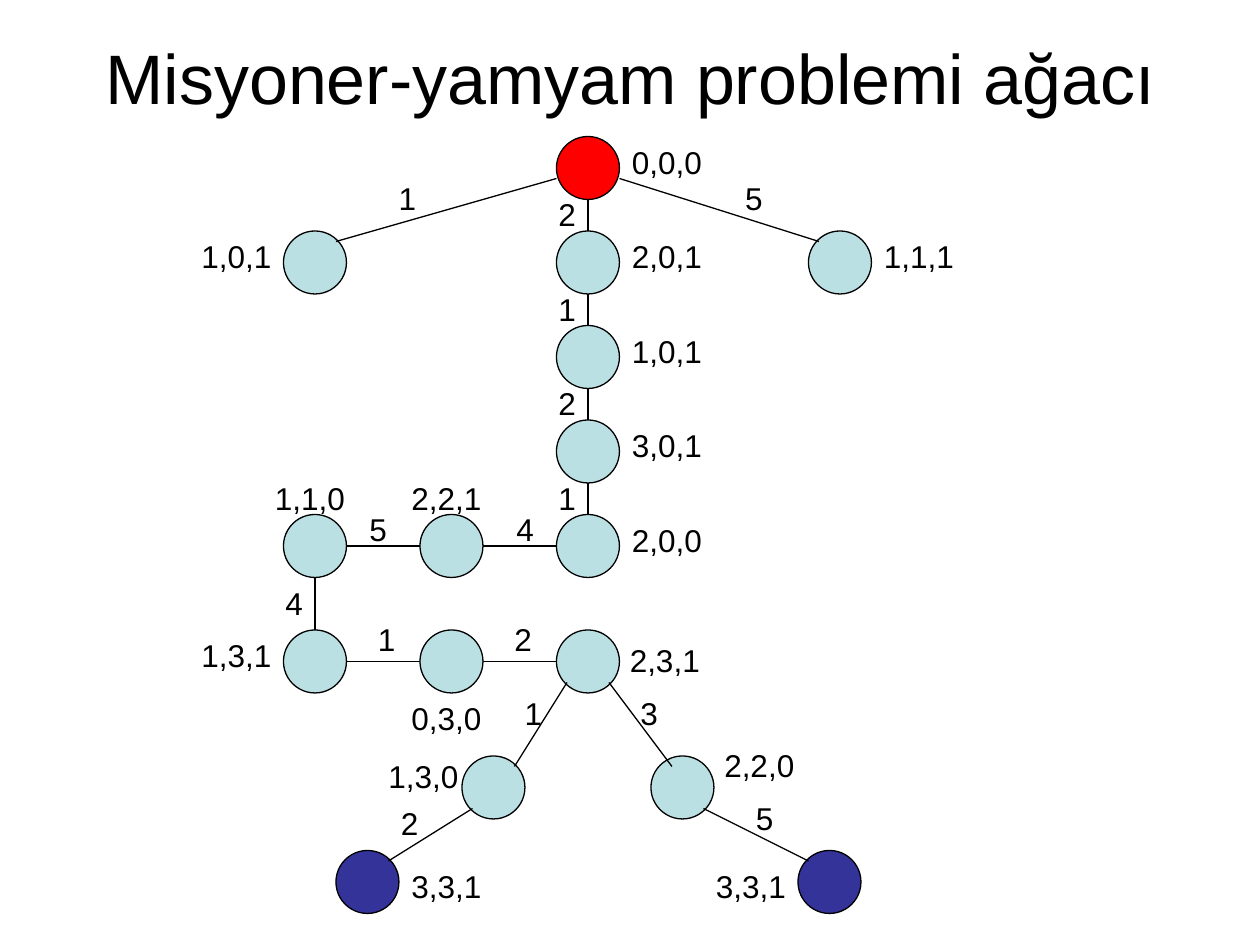
from pptx import Presentation
from pptx.dml.color import RGBColor
from pptx.enum.shapes import MSO_CONNECTOR, MSO_SHAPE
from pptx.enum.text import MSO_ANCHOR, MSO_AUTO_SIZE, PP_ALIGN
from pptx.oxml import parse_xml
from pptx.oxml.ns import nsdecls
from pptx.util import Emu, Pt

LINE, OVAL = MSO_CONNECTOR.STRAIGHT, MSO_SHAPE.OVAL
CENTER, MIDDLE = PP_ALIGN.CENTER, MSO_ANCHOR.MIDDLE
FIT, FIXED = MSO_AUTO_SIZE.SHAPE_TO_FIT_TEXT, MSO_AUTO_SIZE.NONE

PX = 7620  # 120 px to the inch
NODE = 60
STATE_SIZE, MOVE_SIZE = (91, 48), (41, 48)
COLORS = {"start": "FF0000", "state": "BBE0E3", "goal": "333399", "ink": "000000"}
TITLE = "Misyoner-yamyam problemi ağacı"

# Node: left, top, kind, state text, offset of the text box from the node
RIGHT, LEFT, ABOVE, BELOW = (60, 0), (-90, 0), (-20, -40), (-20, 60)
NODES = {
    "root": (530, 130, "start", "0,0,0", RIGHT),
    "west": (270, 220, "state", "1,0,1", LEFT),
    "mid": (530, 220, "state", "2,0,1", RIGHT),
    "east": (770, 220, "state", "1,1,1", RIGHT),
    "mid2": (530, 310, "state", "1,0,1", RIGHT),
    "mid3": (530, 400, "state", "3,0,1", RIGHT),
    "mid4": (530, 490, "state", "2,0,0", RIGHT),
    "back1": (400, 490, "state", "2,2,1", ABOVE),
    "back2": (270, 490, "state", "1,1,0", ABOVE),
    "turn": (270, 600, "state", "1,3,1", LEFT),
    "fwd1": (400, 600, "state", "0,3,0", BELOW),
    "fwd2": (530, 600, "state", "2,3,1", (58, 5)),
    "fork_l": (440, 720, "state", "1,3,0", (-82, -5)),
    "fork_r": (620, 720, "state", "2,2,0", (58, -15)),
    "goal_l": (320, 810, "goal", "3,3,1", (60, 10)),
    "goal_r": (760, 810, "goal", "3,3,1", (-90, 10)),
}

# Points of a node where an edge may end, from its top left corner
PORTS = {
    "top": (30, 0), "bottom": (30, 60), "left": (0, 30), "right": (60, 30),
    "nw": (10, 10), "ne": (50, 10), "sw": (10, 50), "se": (50, 50),
    "low_left": (0, 40), "low_right": (60, 40), "inner_top": (20, 10),
}

# Edge: from node, port, to node, port, move number, place of the number
EDGES = [
    ("root", "low_left", "west", "ne", "1", (368, 165)),
    ("root", "bottom", "mid", "top", "2", (520, 180)),
    ("root", "low_right", "east", "nw", "5", (698, 165)),
    ("mid", "bottom", "mid2", "top", "1", (520, 270)),
    ("mid2", "bottom", "mid3", "top", "2", (520, 360)),
    ("mid3", "bottom", "mid4", "top", "1", (520, 450)),
    ("mid4", "left", "back1", "right", "4", (480, 480)),
    ("back1", "left", "back2", "right", "5", (340, 480)),
    ("back2", "bottom", "turn", "top", "4", (260, 550)),
    ("turn", "right", "fwd1", "left", "1", (348, 585)),
    ("fwd1", "right", "fwd2", "left", "2", (478, 585)),
    ("fwd2", "sw", "fork_l", "ne", "1", (488, 655)),
    ("fwd2", "se", "fork_r", "inner_top", "3", (598, 655)),
    ("fork_l", "sw", "goal_l", "ne", "2", (370, 760)),
    ("fork_r", "se", "goal_r", "nw", "5", (708, 755)),
]


def px(*values):
    return [Emu(v * PX) for v in values]


def rgb(name):
    return RGBColor.from_string(COLORS[name])


def add_text(s, text, box, size=18, wrap=False, fit=FIT, anchor=None, align=None):
    tf = s.shapes.add_textbox(*px(*box)).text_frame
    frame = {"word_wrap": wrap, "auto_size": fit, "vertical_anchor": anchor}
    for name, value in frame.items():
        setattr(tf, name, value)
    p = tf.paragraphs[0]
    p.alignment = align
    r = p.add_run()
    r.text = text
    for name, value in {"name": "Arial", "size": Pt(size)}.items():
        setattr(r.font, name, value)
    r.font.color.rgb = rgb("ink")


def outline(shape):
    shape.line.color.rgb = rgb("ink")
    shape.line.width = Pt(0.75)


def add_node(s, x, y, kind):
    sp = s.shapes.add_shape(OVAL, *px(x, y, NODE, NODE))
    sp.shadow.inherit = False
    sp.fill.solid()
    sp.fill.fore_color.rgb = rgb(kind)
    outline(sp)


def port(node, name):
    x, y = NODES[node][:2]
    dx, dy = PORTS[name]
    return x + dx, y + dy


def add_edge(s, start, end):
    cxn = s.shapes.add_connector(LINE, *px(*start, *end))
    outline(cxn)
    cxn._element.spPr.append(parse_xml(f"<a:effectLst {nsdecls('a')}/>"))


def main():
    prs = Presentation()
    prs.slide_width, prs.slide_height = px(1200, 900)
    s = prs.slides.add_slide(prs.slide_layouts[6])

    add_text(s, TITLE, (60, 36, 1080, 74), 40, True, FIXED, MIDDLE, CENTER)

    # States
    for x, y, kind, state, (dx, dy) in NODES.values():
        add_node(s, x, y, kind)
        add_text(s, state, (x + dx, y + dy, *STATE_SIZE))

    # Moves
    for a, port_a, b, port_b, move, place in EDGES:
        add_edge(s, port(a, port_a), port(b, port_b))
        add_text(s, move, (*place, *MOVE_SIZE))

    prs.save("out.pptx")


if __name__ == "__main__":
    main()
